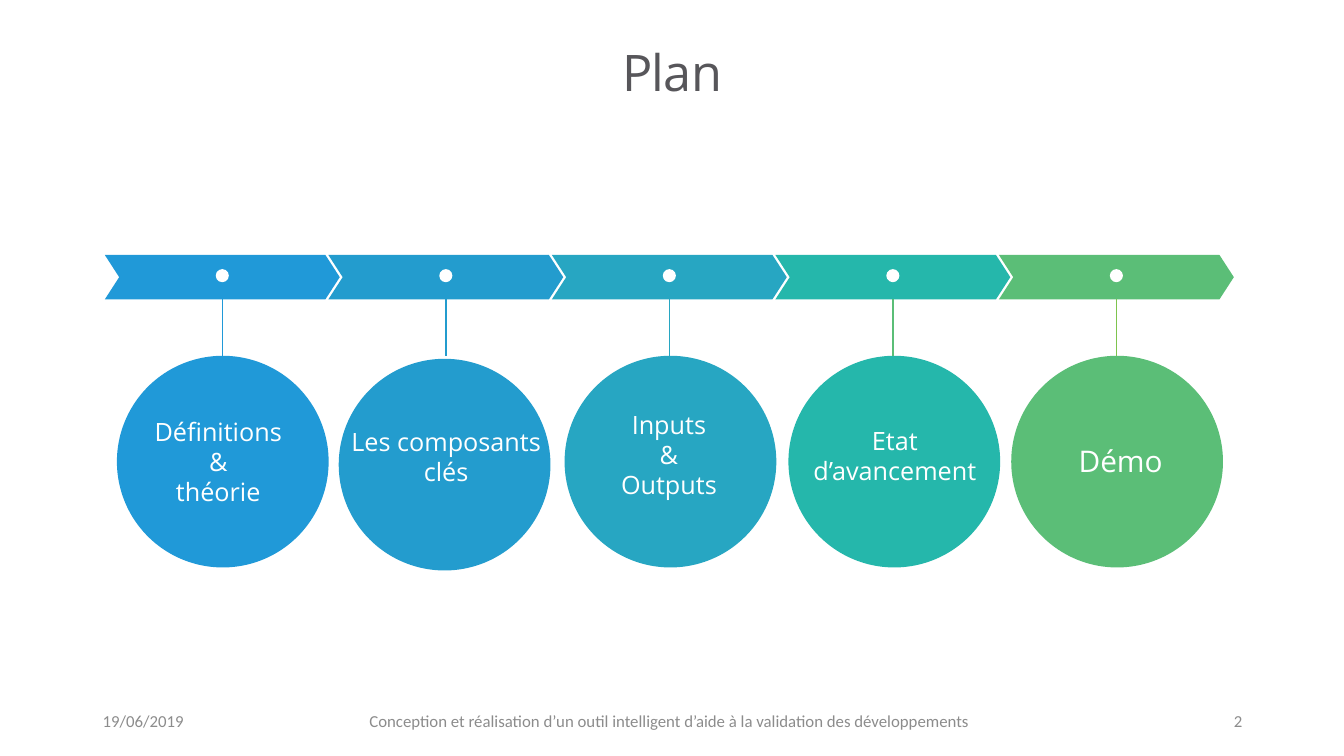
"""Builds the "Plan" slide: a five-step chevron timeline with a circle under each step."""
from dataclasses import dataclass

from lxml.etree import SubElement
from pptx import Presentation
from pptx.dml.color import RGBColor
from pptx.enum.shapes import MSO_CONNECTOR as Connector, MSO_SHAPE as Shape
from pptx.enum.text import MSO_ANCHOR as Anchor, MSO_AUTO_SIZE as AutoSize, PP_ALIGN as Align
from pptx.oxml.ns import qn
from pptx.util import Inches, Pt

COLORS = {
    "blue": "2099D8", "azure": "239CCE", "lagoon": "27A6C2", "teal": "25B7AB",
    "green": "5BBE77", "lime": "7EC44E", "white": "FFFFFF", "title": "57565A", "footer": "8C8C8C",
}
STEP_LEFT, STEP_PITCH = 1.04, 2.217
BAND_TOP, BAND_WIDTH, BAND_HEIGHT = 2.53, 2.33, 0.44
DOT_SIZE, CIRCLE_SIZE, CIRCLE_TOP = 0.13, 2.1, 3.53
LABEL_WIDTH = 2.17


@dataclass
class Step:
    """One stage of the plan."""
    label: str
    color: str
    stem_color: str
    circle_left: float
    label_left: float
    label_top: float
    label_height: float
    circle_drop: float = 0
    size: float = 18


@dataclass
class FooterItem:
    """One piece of text at the foot of the slide."""
    text: str
    left: float
    width: float
    align: Align


STEPS = [
    Step("Définitions\n&\nthéorie", "blue", "blue", 1.16, 1.08, 4.08, 1.01),
    Step("Les composants clés", "azure", "azure", 3.36, 3.34, 4.18, 0.71, circle_drop=0.03),
    Step("Inputs\n&\nOutputs", "lagoon", "lagoon", 5.6, 5.55, 4.01, 1.01),
    Step("Etat d’avancement", "teal", "green", 7.82, 7.79, 4.17, 0.71),
    Step("Démo", "green", "lime", 10.03, 10.03, 4.34, 0.46, size=21.3),
]
FOOTER = [
    FooterItem("19/06/2019", 0.92, 3, Align.LEFT),
    FooterItem("Conception et réalisation d’un outil intelligent d’aide à la validation "
               "des développements", 3.48, 6.32, Align.CENTER),
    FooterItem("2", 9.42, 3, Align.RIGHT),
]


def rgb(name: str) -> RGBColor:
    """Look up a palette colour."""
    return RGBColor.from_string(COLORS[name])


def format_text(frame, font_name: str, size: float, color: str, align: Align) -> None:
    """Apply one style to every run of a text frame."""
    for paragraph in frame.paragraphs:
        paragraph.alignment = align
        for run in paragraph.runs:
            run.font.name = font_name
            run.font.size = Pt(size)
            run.font.color.rgb = rgb(color)


def add_solid(slide, kind: Shape, left: float, top: float, width: float, height: float, color: str):
    """Add a flat preset shape without outline."""
    solid = slide.shapes.add_shape(kind, Inches(left), Inches(top), Inches(width), Inches(height))
    solid.shadow.inherit = False
    solid.fill.solid()
    solid.fill.fore_color.rgb = rgb(color)
    solid.line.fill.background()
    return solid


def add_text(slide, text: str, left: float, top: float, width: float, height: float,
             font_name: str, size: float, color: str, align: Align, anchor: Anchor) -> None:
    """Add a wrapped text box in one style."""
    box = slide.shapes.add_textbox(Inches(left), Inches(top), Inches(width), Inches(height))
    frame = box.text_frame
    frame.word_wrap = True
    frame.vertical_anchor = anchor
    frame.text = text
    format_text(frame, font_name, size, color, align)


def add_stem(slide, center: float, color: str) -> None:
    """Join a chevron to its circle."""
    stem = slide.shapes.add_connector(Connector.STRAIGHT, Inches(center), Inches(CIRCLE_TOP),
                                      Inches(center), Inches(BAND_TOP + BAND_HEIGHT))
    stem.line.color.rgb = rgb(color)
    stem.line.width = Pt(1)
    SubElement(stem._element.spPr, qn("a:effectLst"))


def add_step(slide, index: int, step: Step) -> None:
    """Draw the chevron, dot, stem, circle and label of a step."""
    left = STEP_LEFT + index * STEP_PITCH
    center = left + BAND_WIDTH / 2
    chevron = add_solid(slide, Shape.CHEVRON, left, BAND_TOP, BAND_WIDTH, BAND_HEIGHT, step.color)
    chevron.adjustments[0] = 0.323
    add_solid(slide, Shape.OVAL, center - DOT_SIZE / 2, 2.67, DOT_SIZE, DOT_SIZE, "white")
    add_solid(slide, Shape.OVAL, step.circle_left, CIRCLE_TOP + step.circle_drop,
              CIRCLE_SIZE, CIRCLE_SIZE, step.color)
    add_stem(slide, center, step.stem_color)
    add_text(slide, step.label, step.label_left, step.label_top, LABEL_WIDTH, step.label_height,
             "Open Sans", step.size, "white", Align.CENTER, Anchor.TOP)


def set_title(slide, text: str) -> None:
    """Place and format the slide title."""
    title = slide.shapes.title
    title.left, title.top, title.width, title.height = map(Inches, (1, 0.31, 11.33, 0.89))
    frame = title.text_frame
    frame.text = text
    frame.auto_size = AutoSize.NONE
    frame.vertical_anchor = Anchor.MIDDLE
    frame.margin_left = frame.margin_right = frame.margin_top = frame.margin_bottom = 0
    format_text(frame, "Open Sans", 36, "title", Align.CENTER)
    heading = frame.paragraphs[0]
    heading.line_spacing = 0.86
    heading.runs[0]._r.get_or_add_rPr().set("spc", "-50")


def main() -> None:
    """Build and save the slide."""
    deck = Presentation()
    deck.slide_width, deck.slide_height = Inches(13.33), Inches(7.5)
    slide = deck.slides.add_slide(deck.slide_layouts[5])
    set_title(slide, "Plan")
    for index, step in enumerate(STEPS):
        add_step(slide, index, step)
    for item in FOOTER:
        add_text(slide, item.text, item.left, 6.95, item.width, 0.4,
                 "Calibri", 12, "footer", item.align, Anchor.MIDDLE)
    deck.save("out.pptx")


main()
